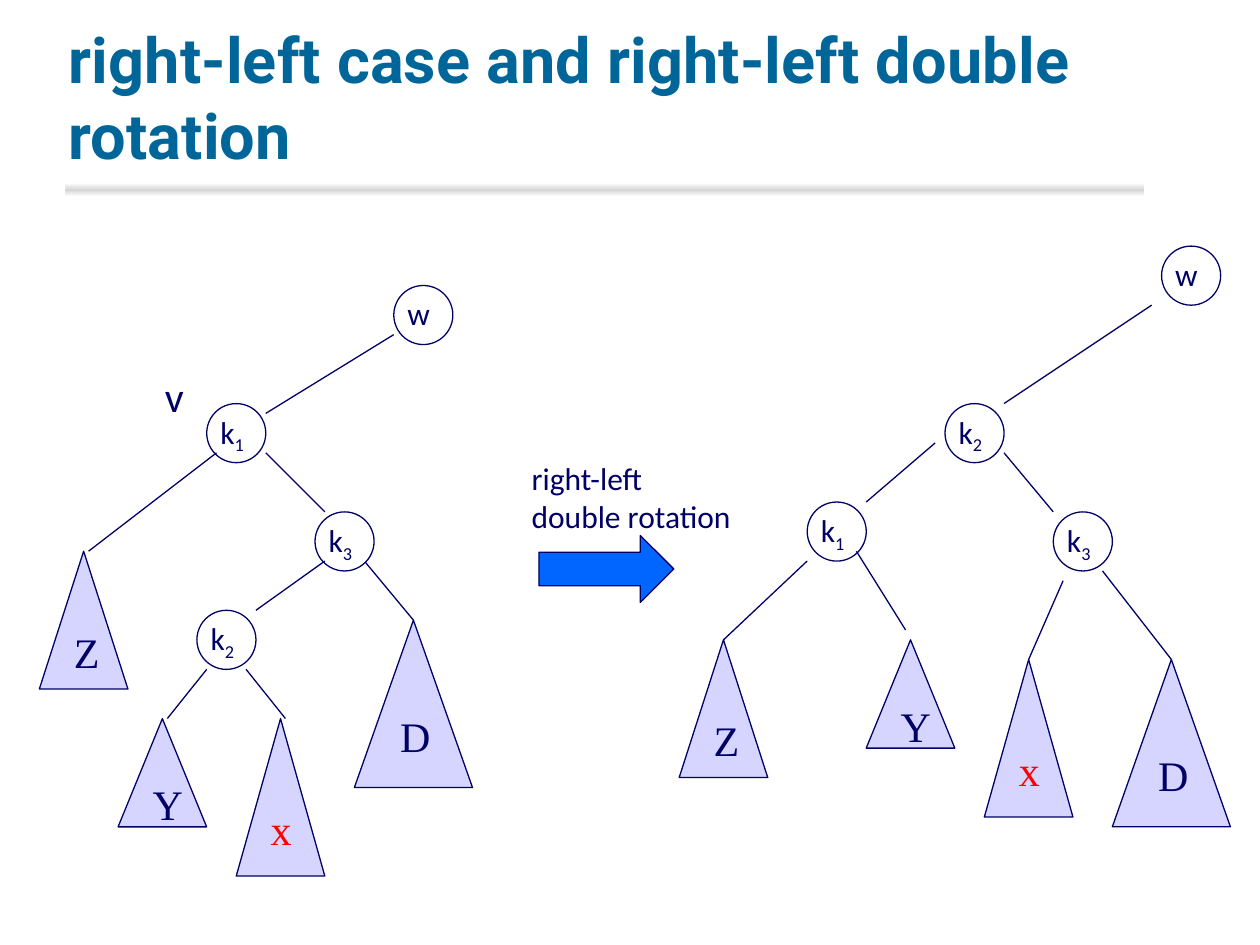
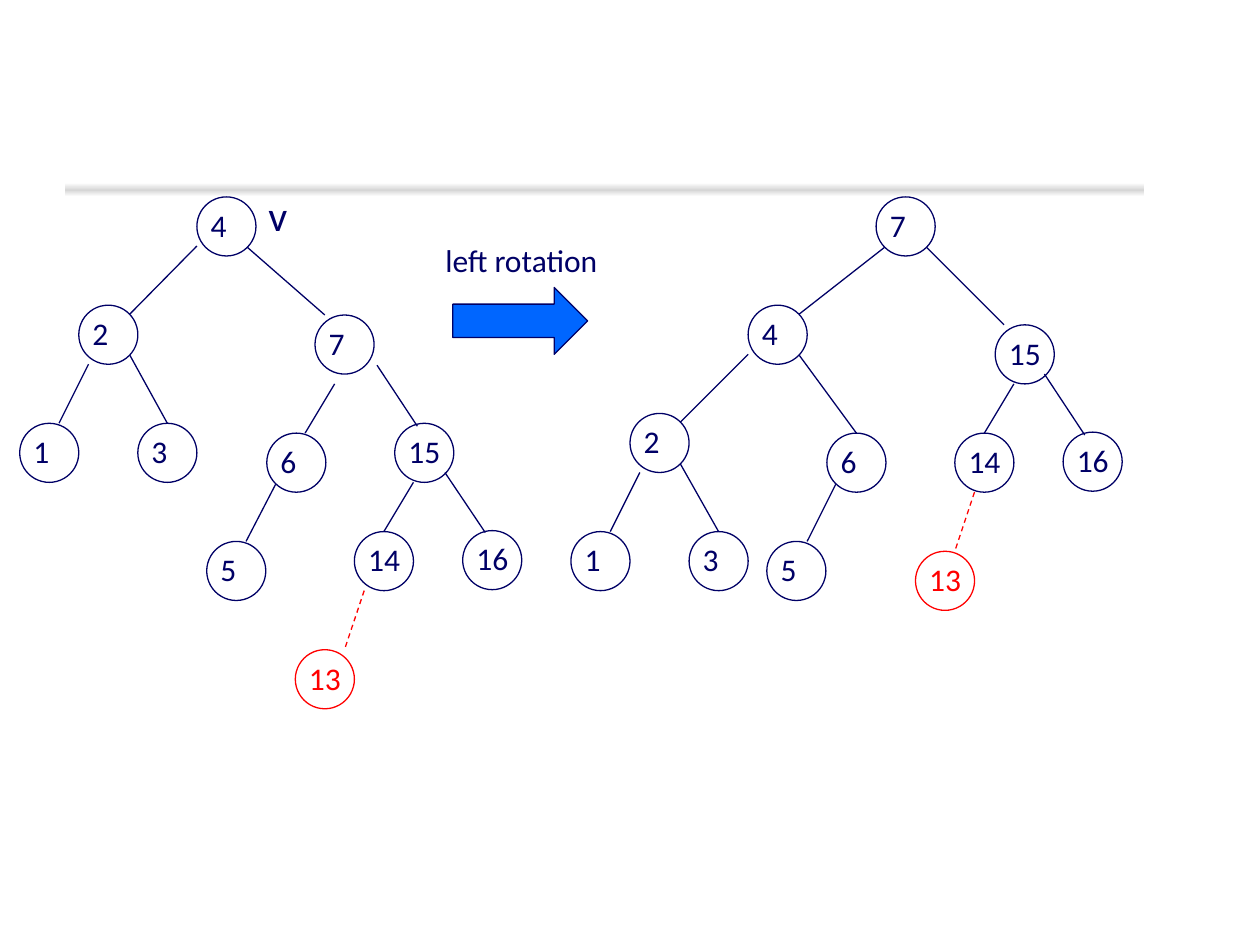
from dataclasses import dataclass
from lxml import etree
from pptx import Presentation
from pptx import util as u
from pptx.dml.color import RGBColor
from pptx.enum import dml, shapes, text
from pptx.oxml import parse_xml
from pptx.oxml.ns import nsdecls, qn


@dataclass(frozen=True)
class Theme:
    title: str = "006699"
    ink: str = "000066"
    new: str = "FF0000"
    leaf: str = "D5D5FF"
    arrow: str = "0066FF"
    paper: str = "FFFFFF"
    band: str = "D6D6D6"
    head: str = "Roboto"
    body: str = "Calibri"
    serif: str = "Times New Roman"
    big: int = 36
    mid: int = 24
    small: int = 18
    line: float = 0.75


T = Theme()
COLS, ROWS = 128, 96           # square grid over the 10 x 7.5 inch slide
UNIT = u.Inches(10) / COLS
NODE = 6                       # node diameter
LEAF = {"Y": (9, 11), "Z": (9, 14), "x": (9, 16), "D": (12, 17)}
RED = {"x", "13"}              # the inserted part
WIDTH = {"k": 5.25, "w": 4.85}  # label widths; digits are set by count


def grid(*vals):
    return [round(v * UNIT) for v in vals]


def color(hexa):
    return RGBColor.from_string(hexa)


def tint(label):
    return T.new if label in RED else T.ink


def add_run(para, words, size, face, hue, low=False):
    run = para.add_run()
    run.text = words
    font = run.font
    font.size, font.name = u.Pt(size), face
    font.color.rgb = color(hue)
    if low:
        run._r.get_or_add_rPr().set("baseline", "-25000")
    return run


def add_box(host, box, wrap=False):
    frame = host.add_textbox(*grid(*box)).text_frame
    frame.word_wrap = wrap
    return frame


def add_form(host, kind, box, hue=T.ink, fill=None):
    form = host.add_shape(kind, *grid(*box))
    form.shadow.inherit = False
    form.line.color.rgb = color(hue)
    form.line.width = u.Pt(T.line)
    if fill:
        form.fill.solid()
        form.fill.fore_color.rgb = color(fill)
    else:
        form.fill.background()
    return form


# Parts of a tree
def add_node(slide, name, x, y):
    group = slide.shapes.add_group_shape().shapes
    hue = tint(name)
    add_form(group, shapes.MSO_SHAPE.OVAL, (x, y, NODE, NODE), hue)
    wide = WIDTH.get(name[0], 2.4 + 1.8 * len(name))
    para = add_box(group, (x + 0.13, y + 0.28, wide, 5.15)).paragraphs[0]
    if name[0] == "k":
        add_run(para, "k", T.small, T.body, hue)
        add_run(para, name[1:], T.small, T.body, hue, low=True)
    else:
        add_run(para, name, T.small, T.body, hue)


def add_leaf(slide, name, x, y):
    form = add_form(slide.shapes, shapes.MSO_SHAPE.ISOSCELES_TRIANGLE,
                    (x, y, *LEAF[name]), fill=T.leaf)
    frame = form.text_frame
    frame.vertical_anchor = text.MSO_ANCHOR.TOP
    para = frame.paragraphs[0]
    para.alignment = text.PP_ALIGN.RIGHT
    add_run(para, name, T.mid, T.serif, tint(name))


def add_edge(slide, ends, new=False):
    edge = slide.shapes.add_connector(shapes.MSO_CONNECTOR.STRAIGHT, *grid(*ends))
    edge.line.color.rgb = color(T.new if new else T.ink)
    edge.line.width = u.Pt(T.line)
    if new:
        edge.line.dash_style = dml.MSO_LINE.DASH
    etree.SubElement(edge._element.spPr, qn("a:effectLst"))


def add_tree(slide, left, top, nodes, edges, leaves=(), mark=None, new=None):
    """Draw a tree; every part is placed from the tree's left top corner."""
    for name, x, y in leaves:
        add_leaf(slide, name, left + x, top + y)
    for name, x, y in nodes:
        add_node(slide, name, left + x, top + y)
    for ends in edges + ([new] if new else []):
        x1, y1, x2, y2 = ends
        add_edge(slide, (left + x1, top + y1, left + x2, top + y2), ends == new)
    if mark:
        frame = add_box(slide.shapes, (left + mark[0], top + mark[1], 4.5, 6.4))
        add_run(frame.paragraphs[0], "v", T.mid, T.body, T.ink)


# Block arrow with its caption above
def add_step(slide, x, y, wide, lines):
    add_form(slide.shapes, shapes.MSO_SHAPE.RIGHT_ARROW, (x, y, 13.7, 6.8),
             fill=T.arrow)
    rise = 2.2 + 3.1 * len(lines)
    frame = add_box(slide.shapes, (x - 2, y - rise, wide, rise))
    for i, words in enumerate(lines):
        para = frame.add_paragraph() if i else frame.paragraphs[0]
        add_run(para, words, T.small, T.body, T.ink)


# Band and title shared by the slides
def add_band(slide):
    band = add_form(slide.shapes, shapes.MSO_SHAPE.RECTANGLE, (6.6, 18.6, 109.6, 1.4))
    band.line.fill.background()
    stops = "".join(
        f'<a:gs pos="{pos}"><a:srgbClr val="{hue}"/></a:gs>'
        for pos, hue in ((0, T.paper), (50000, T.band), (100000, T.paper)))
    props = band._element.spPr
    props.replace(props.find(qn("a:noFill")), parse_xml(
        f'<a:gradFill {nsdecls("a")}><a:gsLst>{stops}</a:gsLst>'
        '<a:lin ang="5400000" scaled="0"/></a:gradFill>'))


def add_title(slide, words):
    frame = add_box(slide.shapes, (5.7, 2.1, 108.8, 16), wrap=True)
    frame.vertical_anchor = text.MSO_ANCHOR.BOTTOM
    run = add_run(frame.paragraphs[0], words, T.big, T.head, T.title)
    run.font.bold = True
    run._r.get_or_add_rPr().set("spc", "10")


def add_page(deck, title=None):
    slide = deck.slides.add_slide(deck.slide_layouts[6])
    add_band(slide)
    if title:
        add_title(slide, title)
    return slide


def double_page(deck):
    slide = add_page(deck, "right-left case and right-left double rotation")
    add_tree(
        slide, 4, 29,
        nodes=[("w", 36, 0), ("k1", 17, 12), ("k3", 28, 23), ("k2", 16, 33)],
        leaves=[("Z", 0, 27), ("Y", 8, 44), ("x", 20, 44), ("D", 32, 34)],
        edges=[(23, 13, 36, 5), (18, 17, 5, 27), (23, 17, 29, 23),
               (29, 28, 22, 33), (33.1, 28.1, 38, 34),
               (17, 39, 13, 44), (21, 39, 25, 44)],
        mark=(11.5, 8))
    add_step(slide, 54.75, 54.4, 23, ["right-left", "double rotation"])
    add_tree(
        slide, 69, 25,
        nodes=[("w", 49, 0), ("k2", 27, 16), ("k1", 13, 26), ("k3", 38, 27)],
        leaves=[("Z", 0, 40), ("Y", 19, 40), ("x", 31, 42), ("D", 44, 42)],
        edges=[(33, 16, 48, 6), (26, 20, 19, 26), (33, 21, 38, 27),
               (13, 32, 4.5, 40), (18, 31, 23, 39),
               (35.5, 42, 39, 34), (43, 33, 50, 42)])


def single_page(deck):
    slide = add_page(deck)
    add_tree(
        slide, 2, 20,
        nodes=[("4", 18, 0), ("2", 6, 11), ("7", 30, 12), ("1", 0, 23),
               ("3", 12, 23), ("6", 25.1, 24), ("15", 38.1, 23), ("5", 19, 35),
               ("14", 34, 34), ("16", 45, 33.9), ("13", 28, 46)],
        edges=[(11.2, 11.9, 18, 5), (23.1, 5.1, 31, 12), (7, 17, 4, 23),
               (11.2, 16.1, 15, 23), (29, 24, 32, 19), (36.3, 17.1, 40.4, 23.3),
               (23, 35, 26, 29.2), (37, 34, 40, 29), (43.2, 28, 47.3, 34.1)],
        mark=(24, -1.4), new=(35, 40, 33, 46))
    add_step(slide, 46, 29.2, 18.2, ["left rotation"])
    add_tree(
        slide, 58, 20,
        nodes=[("7", 31, 0), ("4", 18, 11), ("15", 43.1, 13), ("2", 6, 22),
               ("6", 26, 24), ("14", 39, 24), ("16", 50, 23.9), ("1", 0, 34),
               ("3", 12, 34), ("5", 19.9, 35), ("13", 35, 36)],
        edges=[(31.9, 5.1, 23.2, 11.9), (36.1, 5.1, 44, 13), (11.1, 22.9, 18, 16),
               (23.2, 16.1, 29, 24), (42, 24, 45, 19), (48.1, 18, 52.2, 24.2),
               (7, 28, 4, 34), (11.1, 27.1, 15, 34), (24, 35, 26.9, 29.2)],
        new=(41, 30, 39, 36))


def main():
    deck = Presentation()
    deck.slide_width, deck.slide_height = grid(COLS, ROWS)
    double_page(deck)
    single_page(deck)
    deck.save("out.pptx")


if __name__ == "__main__":
    main()
